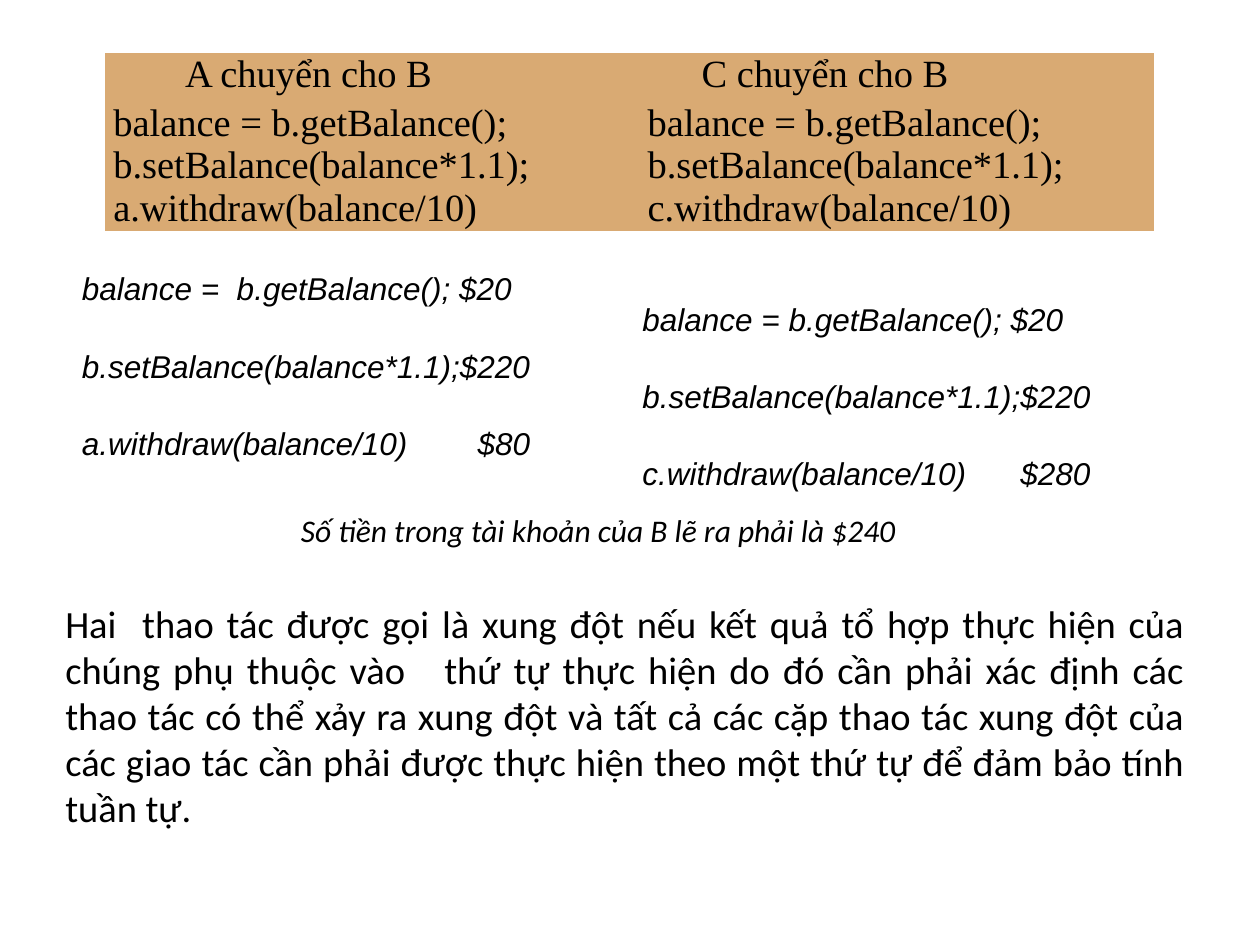
from pptx import Presentation
from pptx.dml.color import RGBColor
from pptx.enum.text import MSO_ANCHOR, PP_ALIGN
from pptx.oxml.ns import qn
from pptx.util import Inches, Pt
from lxml import etree

TOP, MIDDLE = MSO_ANCHOR.TOP, MSO_ANCHOR.MIDDLE
LEFT, JUSTIFY = PP_ALIGN.LEFT, PP_ALIGN.JUSTIFY
NO_STYLE_NO_GRID = "{2D5ABB26-0587-4C30-8999-92F81FD0307C}"


def color(hex_value):
    return RGBColor.from_string(hex_value)


def add_tab_stop(paragraph, position):
    properties = paragraph._p.get_or_add_pPr()
    tabs = etree.SubElement(properties, qn("a:tabLst"))
    etree.SubElement(tabs, qn("a:tab"), pos=str(Inches(position)), algn="l")


def write_text(frame, lines, font="Calibri", size=18, italic=False,
               align=LEFT, gap=0, tab=None):
    """Write one paragraph per line, with gap points between them."""
    for index, line in enumerate(lines):
        paragraph = frame.add_paragraph() if index else frame.paragraphs[0]
        paragraph.alignment = align
        if index and gap:
            paragraph.space_before = Pt(gap)
        if tab:
            add_tab_stop(paragraph, tab)
        run = paragraph.add_run()
        run.text = line
        run.font.name = font
        run.font.size = Pt(size)
        run.font.italic = italic
        run.font.color.rgb = color(SlideBuilder.TEXT)


def set_margins(target, left, top, right, bottom):
    target.margin_left, target.margin_top = Inches(left), Inches(top)
    target.margin_right, target.margin_bottom = Inches(right), Inches(bottom)


class SlideBuilder:
    TEXT = "000000"
    TABLE_FILL = "D9AA73"

    def __init__(self, presentation):
        self.slide = presentation.slides.add_slide(presentation.slide_layouts[6])

    def text_box(self, box, lines, anchor=TOP, wrap=True,
                 margins=(0.1, 0.05, 0.1, 0.05), **text_format):
        shape = self.slide.shapes.add_textbox(*map(Inches, box))
        frame = shape.text_frame
        frame.word_wrap = wrap
        frame.vertical_anchor = anchor
        set_margins(frame, *margins)
        write_text(frame, lines, **text_format)

    def table(self, box, widths, heights, rows):
        """Draw rows of (left margin, lines) cells without borders."""
        frame = self.slide.shapes.add_table(len(rows), len(widths), *map(Inches, box))
        table = frame.table
        table.first_row = table.horz_banding = False
        table._tbl.tblPr.find(qn("a:tableStyleId")).text = NO_STYLE_NO_GRID
        for column, width in zip(table.columns, widths):
            column.width = Inches(width)
        for row, height, contents in zip(table.rows, heights, rows):
            row.height = Inches(height)
            for cell, (indent, lines) in zip(row.cells, contents):
                set_margins(cell, indent, 0, 0, 0)
                cell.fill.solid()
                cell.fill.fore_color.rgb = color(self.TABLE_FILL)
                write_text(cell.text_frame, lines, font="Times New Roman", size=22)


def main():
    presentation = Presentation()
    presentation.slide_width, presentation.slide_height = Inches(10), Inches(7.5)
    builder = SlideBuilder(presentation)

    read_balance = "balance = b.getBalance();"
    raise_balance = "b.setBalance(balance*1.1);"
    builder.table(
        (0.83, 0.42, 8.33, 1.41), (4.17, 4.16), (0.39, 1.02),
        [
            [(0.64, ["A chuyển cho B"]), (0.57, ["C chuyển cho B"])],
            [(0.07, [read_balance, f"{raise_balance} a.withdraw(balance/10)"]),
             (0.14, [read_balance, f"{raise_balance} c.withdraw(balance/10)"])],
        ])

    trace = dict(anchor=MIDDLE, font="Arial", italic=True, gap=22.5)
    builder.text_box(
        (0.25, 2.08, 4, 1.58),
        ["balance =  b.getBalance(); $20", f"{raise_balance}$220",
         "a.withdraw(balance/10)\t$80"],
        margins=(0.4, 0.06, 0, 0), tab=3.14, **trace)
    builder.text_box(
        (5, 2.33, 4.67, 1.62),
        [f"{read_balance} $20", f"{raise_balance}$220",
         "c.withdraw(balance/10)\t$280"],
        tab=3, **trace)

    builder.text_box(
        (2.29, 4.01, 4.96, 0.4),
        ["Số tiền trong tài khoản của B lẽ ra phải là $240"],
        wrap=False, italic=True)
    builder.text_box(
        (0.42, 4.71, 9.08, 1.95),
        ["Hai  thao tác được gọi là xung đột nếu kết quả tổ hợp thực hiện của "
         "chúng phụ thuộc vào   thứ tự thực hiện do đó cần phải xác định các "
         "thao tác có thể xảy ra xung đột và tất cả các cặp thao tác xung đột của "
         "các giao tác cần phải được thực hiện theo một thứ tự để đảm bảo tính "
         "tuần tự."],
        size=22, align=JUSTIFY)

    presentation.save("out.pptx")


if __name__ == "__main__":
    main()
